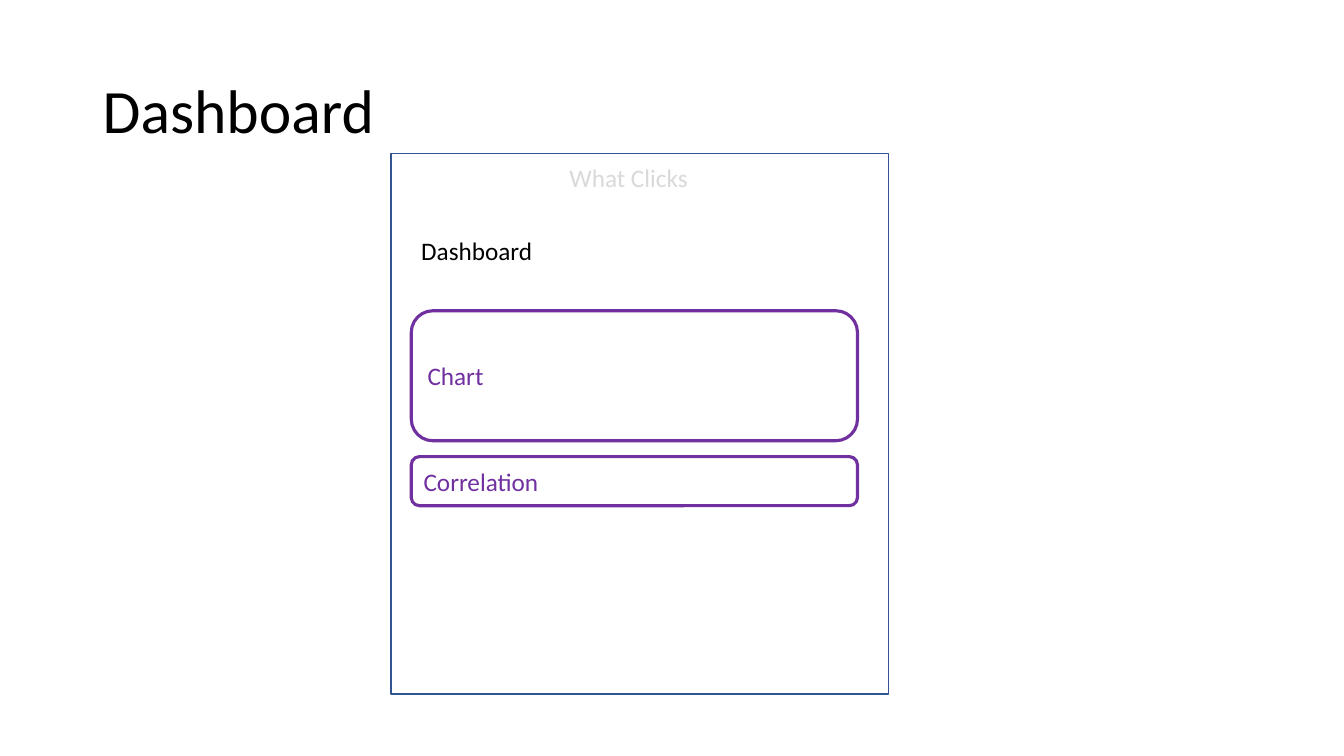
from pptx import Presentation
from pptx.dml.color import RGBColor
from pptx.enum.shapes import MSO_SHAPE as SHAPE
from pptx.enum.text import MSO_ANCHOR as ANCHOR, PP_ALIGN as ALIGN
from pptx.util import Inches, Pt

COLORS = {"black": "000000", "white": "FFFFFF", "grey": "D9D9D9",
          "frame": "325491", "purple": "7030A0"}

prs = Presentation()
prs.slide_width, prs.slide_height = Inches(13.33), Inches(7.5)
s = prs.slides.add_slide(prs.slide_layouts[6])


def share(left, top, width, height):
    """Turn percentages of the slide's size into lengths."""
    w, h = prs.slide_width / 100, prs.slide_height / 100
    return int(left * w), int(top * h), int(width * w), int(height * h)


def write(sp, text, size, color, anchor):
    tf = sp.text_frame
    tf.word_wrap = True
    tf.vertical_anchor = anchor
    p = tf.paragraphs[0]
    p.alignment = ALIGN.LEFT
    r = p.add_run()
    r.text = text
    r.font.name, r.font.size = "Calibri", Pt(size)
    r.font.color.rgb = RGBColor.from_string(COLORS[color])
    return p


# Slide title
title = s.shapes.add_textbox(*share(6.9, 5.33, 86.25, 19.33))
write(title, "Dashboard", 44, "black", ANCHOR.MIDDLE).line_spacing = 0.9

# Screen frame
frame = s.shapes.add_shape(SHAPE.RECTANGLE, *share(29.1, 20.3, 37, 71.5))
frame.shadow.inherit = False
frame.fill.background()
frame.line.color.rgb = RGBColor.from_string(COLORS["frame"])
frame.line.width = Pt(1)

# App name and page heading
for text, color, left, top, width in [
    ("What Clicks", "grey", 41.63, 20.8, 11.85),
    ("Dashboard", "black", 30.6, 30.5, 18.9),
]:
    label = s.shapes.add_textbox(*share(left, top, width, 5.4))
    write(label, text, 18, color, ANCHOR.TOP)

# Dashboard panels
for text, top, height in [("Chart", 41.1, 17.2), ("Correlation", 60.4, 6.5)]:
    panel = s.shapes.add_shape(SHAPE.ROUNDED_RECTANGLE,
                               *share(30.6, top, 33.2, height))
    panel.shadow.inherit = False
    panel.fill.solid()
    panel.fill.fore_color.rgb = RGBColor.from_string(COLORS["white"])
    panel.line.color.rgb = RGBColor.from_string(COLORS["purple"])
    panel.line.width = Pt(2.25)
    write(panel, text, 18, "purple", ANCHOR.MIDDLE)

prs.save("out.pptx")
